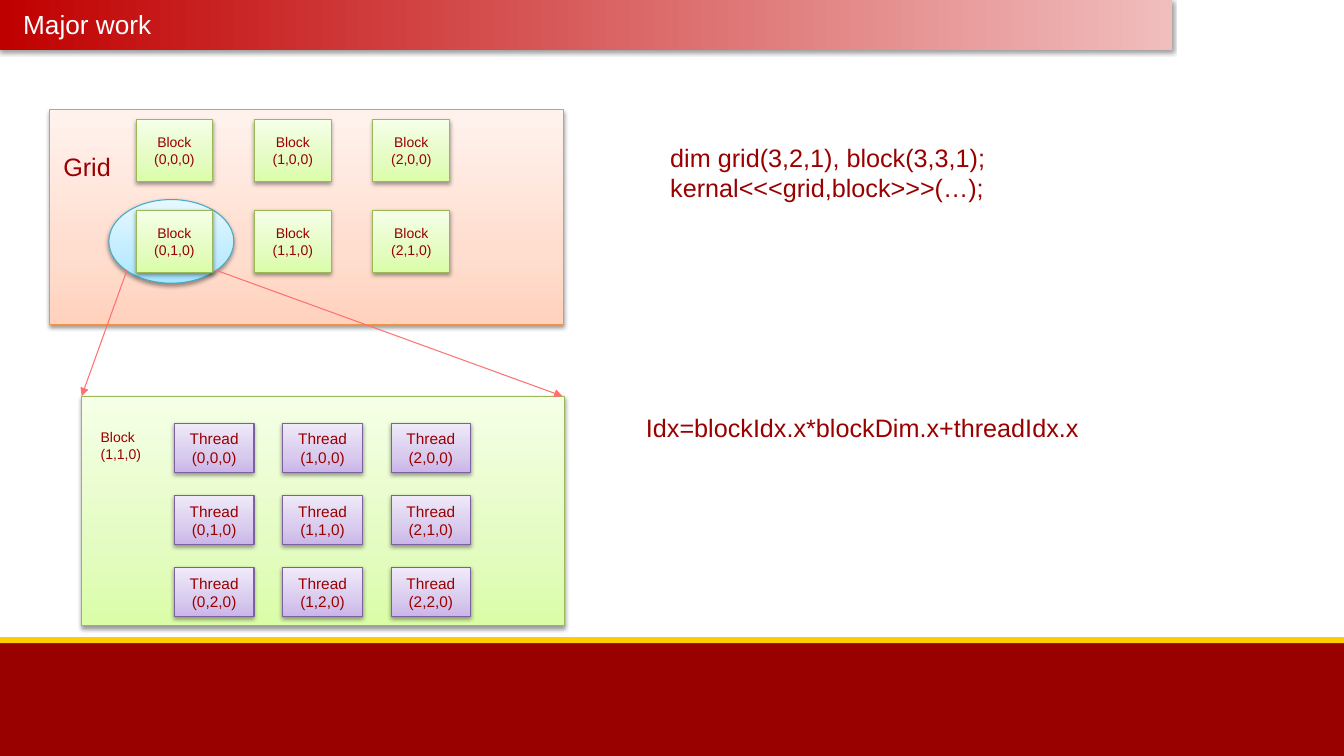
import copy
import pptx
import pptx.util
import pptx.dml.color
import pptx.enum.shapes
import pptx.enum.text
import pptx.oxml
import pptx.oxml.ns

RGB = pptx.dml.color.RGBColor
KIND = pptx.enum.shapes.MSO_SHAPE
ALIGN = pptx.enum.text.PP_ALIGN
ANCHOR = pptx.enum.text.MSO_ANCHOR
qn = pptx.oxml.ns.qn

RED = RGB(0x99, 0x00, 0x00)
GOLD = RGB(0xFF, 0xCC, 0x00)
WHITE = RGB(0xFF, 0xFF, 0xFF)
ROSE = RGB(0xFF, 0x70, 0x70)

# Each theme: line colour, then gradient stops by position
BAR = (None, {0: RGB(0xF1, 0xBD, 0xBD), 1: RGB(0xC0, 0x00, 0x00)})
PEACH = (RGB(0xF6, 0x92, 0x40), {0: RGB(0xFF, 0xD2, 0xBD),
         0.35: RGB(0xFF, 0xDE, 0xD0), 1: RGB(0xFF, 0xF2, 0xED)})
LIME = (RGB(0x98, 0xB9, 0x55), {0: RGB(0xDA, 0xFD, 0xA7),
        0.35: RGB(0xE4, 0xFC, 0xC2), 1: RGB(0xF5, 0xFF, 0xE7)})
AQUA = (RGB(0x46, 0xAA, 0xC5), {0: RGB(0xA7, 0xE6, 0xFF),
        0.35: RGB(0xC1, 0xED, 0xFF), 1: RGB(0xE7, 0xF8, 0xFF)})
LILAC = (RGB(0x7D, 0x60, 0xA0), {0: RGB(0xC9, 0xB5, 0xE8),
         0.35: RGB(0xD8, 0xCB, 0xEE), 1: RGB(0xF0, 0xEA, 0xF9)})

SHADOW = (
    '<a:outerShdw xmlns:a="http://schemas.openxmlformats.org/drawingml/2006/main"'
    ' blurRad="40000" dist="20000" dir="5400000" rotWithShape="0">'
    '<a:srgbClr val="000000"><a:alpha val="38000"/></a:srgbClr></a:outerShdw>')

# The slide is a grid of square cells, ten to the inch
CELL = pptx.util.Inches(0.1)
COLS, ROWS = 133.33, 75

deck = pptx.Presentation()
deck.slide_width = int(COLS * CELL)
deck.slide_height = ROWS * CELL
slide = deck.slides.add_slide(deck.slide_layouts[5])
shapes = slide.shapes


def panel(kind, theme, area, angle=90):
    """Add a shape with a gradient and a soft shadow."""
    edge, stops = theme
    shape = shapes.add_shape(kind, *(int(n * CELL) for n in area))
    shape.fill.gradient()
    shape.fill.gradient_angle = angle
    first = shape.fill.gradient_stops[0]
    ramp = shape._element.spPr.find(qn("a:gradFill")).find(qn("a:gsLst"))
    while len(ramp) < len(stops):
        ramp.append(copy.deepcopy(ramp[0]))
    for stop, (place, tint) in zip(shape.fill.gradient_stops, stops.items()):
        stop.position = place
        stop.color.rgb = tint
    if edge is None:
        shape.line.fill.background()
    else:
        shape.line.color.rgb = edge
        shape.line.width = pptx.util.Pt(0.75)
    shape.shadow.inherit = False
    effects = shape._element.spPr.find(qn("a:effectLst"))
    effects.append(pptx.oxml.parse_xml(SHADOW))
    return shape


def write(shape, words, size, tint=RED, align=ALIGN.LEFT, anchor=ANCHOR.TOP):
    """Fill a shape with text in one style."""
    frame = shape.text_frame
    frame.text = words
    frame.word_wrap = True
    frame.auto_size = pptx.enum.text.MSO_AUTO_SIZE.NONE
    frame.vertical_anchor = anchor
    for para in frame.paragraphs:
        para.alignment = align
        for run in para.runs:
            run.font.name = "Arial"
            run.font.size = pptx.util.Pt(size)
            run.font.color.rgb = tint


# Footer bands
for top, high, tint in ((63.5, 11.5, RED), (63.2, 0.6, GOLD)):
    band = shapes.add_shape(KIND.RECTANGLE, 0, int(top * CELL),
                            deck.slide_width, int(high * CELL))
    band.fill.solid()
    band.fill.fore_color.rgb = tint
    band.line.fill.background()
    band.shadow.inherit = False

# Title on its bar
bar = panel(KIND.RECTANGLE, BAR, (0, 0, 116.3, 5), 180)
title = shapes.title
title.left, title.top = int(1.3 * CELL), int(0.1 * CELL)
title.width, title.height = 113 * CELL, int(4.5 * CELL)
write(title, "Major work", 18.7, WHITE)
title.text_frame.margin_top = int(0.7 * CELL)
bar._element.addnext(title._element)

# Grid, ring and the two big panels
panel(KIND.RECTANGLE, PEACH, (4.9, 10.9, 51, 21.3))
panel(KIND.OVAL, AQUA, (10.8, 19.8, 12.4, 8.3))
panel(KIND.RECTANGLE, LIME, (8.1, 39.3, 47.9, 22.8))

# Blocks and threads: name, theme, text size, rows, origin, pitch, box size
for name, theme, size, rows, (left, top), (dx, dy), box in (
        ("Block", LIME, 10, 2, (13.5, 11.9), (11.75, 9), (7.6, 6.1)),
        ("Thread", LILAC, 11, 3, (17.3, 42), (10.75, 7.15), (7.9, 4.9))):
    for row in range(rows):
        for col in range(3):
            tile = panel(KIND.RECTANGLE, theme,
                         (left + col * dx, top + row * dy, *box))
            write(tile, f"{name}\n({col},{row},0)", size,
                  align=ALIGN.CENTER, anchor=ANCHOR.MIDDLE)

# Labels and code
for words, size, area in (
        ("Grid", 18, (5.3, 14.5, 7.4, 4)),
        ("Block\n(1,1,0)", 10, (9, 42, 6.9, 4.4)),
        ("dim grid(3,2,1), block(3,3,1);\nkernal<<<grid,block>>>(…);", 18,
         (65.5, 13.6, 49.9, 7.1)),
        ("Idx=blockIdx.x*blockDim.x+threadIdx.x", 18, (63.1, 40.4, 48.3, 4))):
    label = shapes.add_textbox(*(int(n * CELL) for n in area))
    write(label, words, size)

# Arrows from the ring to the corners of the lower panel
for start, end in ((12.6, 8.1), (21.4, 55.8)):
    arrow = shapes.add_connector(
        pptx.enum.shapes.MSO_CONNECTOR.STRAIGHT,
        *(int(n * CELL) for n in (start, 26.8, end, 39.3)))
    arrow.line.color.rgb = ROSE
    arrow.line.width = pptx.util.Pt(0.75)
    props = arrow._element.spPr
    tip = props.find(qn("a:ln")).makeelement(qn("a:tailEnd"), {"type": "triangle"})
    props.find(qn("a:ln")).append(tip)
    props.append(props.makeelement(qn("a:effectLst"), {}))

deck.save("out.pptx")
